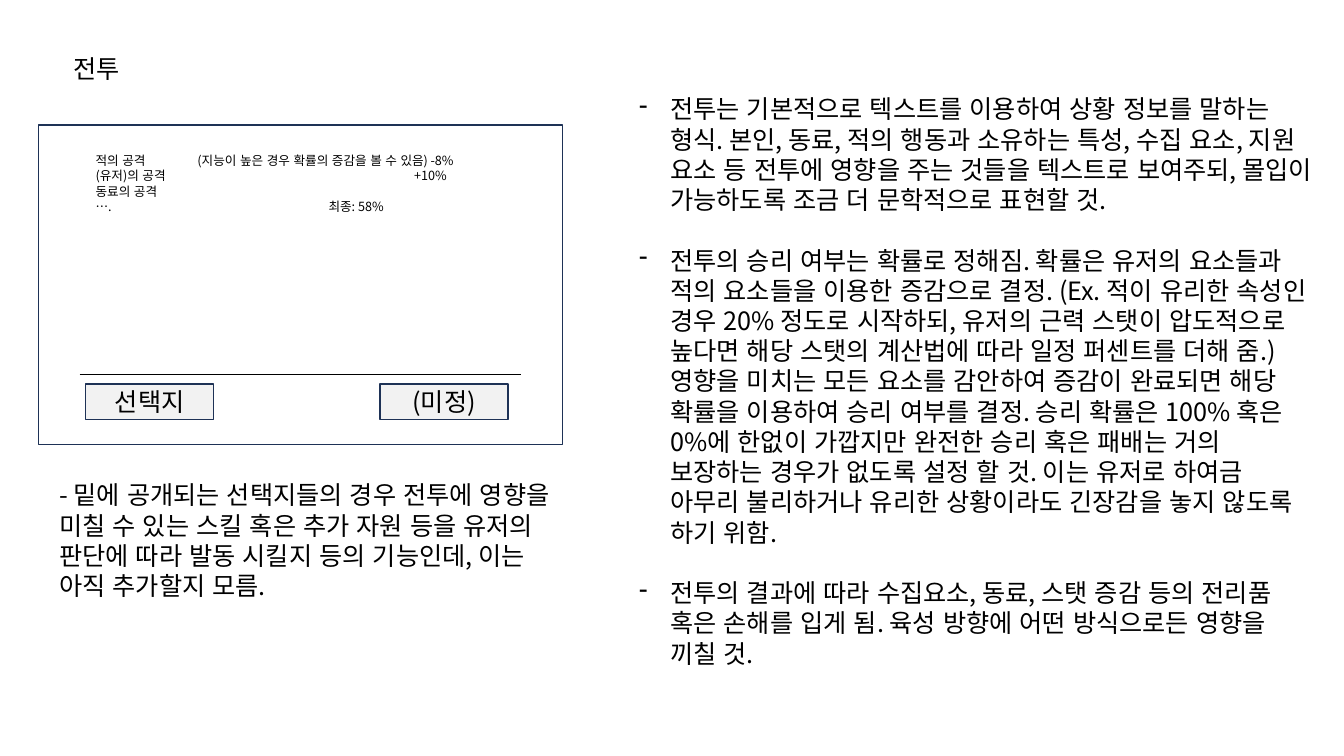
from dataclasses import dataclass

import pptx
import pptx.dml.color
import pptx.enum.lang
import pptx.enum.shapes
import pptx.enum.text
import pptx.oxml.ns
import pptx.util
from lxml import etree
from pptx.util import Inches, Pt

FONT = "Noto Sans CJK KR"
NAVY, BLACK, WHITE, GREY = "1E3256", "000000", "FFFFFF", "F2F2F2"
ALIGN = pptx.enum.text.PP_ALIGN
ANCHOR = pptx.enum.text.MSO_ANCHOR


@dataclass
class Box:
    left: float
    top: float
    width: float
    height: float
    fill: str
    text: str = ""


def color(value: str):
    return pptx.dml.color.RGBColor.from_string(value)


def add_child(parent, tag: str, **attrs):
    child = etree.SubElement(parent, pptx.oxml.ns.qn(tag))
    for name, value in attrs.items():
        child.set(name, str(value))
    return child


def write(p, text: str, size: float = 18, align=ALIGN.LEFT, before: float = 0,
          bullet: str = "", indent: float = 0, tabs: tuple = ()):
    """Fill a paragraph with one formatted run."""
    p.alignment = align
    p.line_spacing = 1.0
    p.space_before = Pt(before)
    props = p._p.get_or_add_pPr()
    if bullet:
        props.set("marL", str(Inches(indent)))
        props.set("indent", str(-Inches(indent)))
        add_child(props, "a:buFontTx")
        add_child(props, "a:buChar", char=bullet)
    if tabs:
        tab_list = add_child(props, "a:tabLst")
        for pos in tabs:
            add_child(tab_list, "a:tab", pos=Inches(pos), algn="l")
    r = p.add_run()
    r.text = text
    r.font.size = Pt(size)
    r.font.name = FONT
    r.font.color.rgb = color(BLACK)
    r.font.language_id = pptx.enum.lang.MSO_LANGUAGE_ID.KOREAN
    add_child(r._r.get_or_add_rPr(), "a:ea", typeface=FONT)


def add_text(s, left: float, top: float, width: float, height: float):
    tf = s.shapes.add_textbox(Inches(left), Inches(top), Inches(width), Inches(height)).text_frame
    tf.word_wrap = True
    return tf


def add_box(s, box: Box):
    sp = s.shapes.add_shape(pptx.enum.shapes.MSO_SHAPE.RECTANGLE, Inches(box.left),
                            Inches(box.top), Inches(box.width), Inches(box.height))
    sp.shadow.inherit = False
    sp.fill.solid()
    sp.fill.fore_color.rgb = color(box.fill)
    sp.line.color.rgb = color(NAVY)
    sp.line.width = Pt(1)
    if box.text:
        sp.text_frame.vertical_anchor = ANCHOR.MIDDLE
        write(sp.text_frame.paragraphs[0], box.text, align=ALIGN.CENTER)


def add_rule(s, x1: float, x2: float, y: float):
    line = s.shapes.add_connector(pptx.enum.shapes.MSO_CONNECTOR.STRAIGHT,
                                  Inches(x1), Inches(y), Inches(x2), Inches(y))
    line.line.color.rgb = color(BLACK)
    line.line.width = Pt(0.5)
    add_child(line._element.spPr, "a:effectLst")


RULES = [
    "전투는 기본적으로 텍스트를 이용하여 상황 정보를 말하는 형식. 본인, 동료, 적의 행동과 "
    "소유하는 특성, 수집 요소, 지원 요소 등 전투에 영향을 주는 것들을 텍스트로 보여주되, "
    "몰입이 가능하도록 조금 더 문학적으로 표현할 것.",
    "전투의 승리 여부는 확률로 정해짐. 확률은 유저의 요소들과 적의 요소들을 이용한 증감으로 결정. "
    "(Ex. 적이 유리한 속성인 경우 20% 정도로 시작하되, 유저의 근력 스탯이 압도적으로 높다면 "
    "해당 스탯의 계산법에 따라 일정 퍼센트를 더해 줌.) 영향을 미치는 모든 요소를 감안하여 증감이 "
    "완료되면 해당 확률을 이용하여 승리 여부를 결정. 승리 확률은 100% 혹은 0%에 한없이 가깝지만 "
    "완전한 승리 혹은 패배는 거의 보장하는 경우가 없도록 설정 할 것. 이는 유저로 하여금 아무리 "
    "불리하거나 유리한 상황이라도 긴장감을 놓지 않도록 하기 위함.",
    "전투의 결과에 따라 수집요소, 동료, 스탯 증감 등의 전리품 혹은 손해를 입게 됨. "
    "육성 방향에 어떤 방식으로든 영향을 끼칠 것.",
]
# Each log line with its tab stops
BATTLE_LOG = [
    ("적의 공격\t(지능이 높은 경우 확률의 증감을 볼 수 있음) -8%", (1.01,)),
    ("(유저)의 공격\t+10%", (3.16,)),
    ("동료의 공격", ()),
    ("….\t최종: 58%", (2.31,)),
]
CHOICE_NOTE = ("- 밑에 공개되는 선택지들의 경우 전투에 영향을 미칠 수 있는 스킬 혹은 추가 자원 등을 "
               "유저의 판단에 따라 발동 시킬지 등의 기능인데, 이는 아직 추가할지 모름.")
SCREEN = Box(0.38, 1.24, 5.2, 3.17, WHITE)
BUTTONS = [Box(left, 3.81, 1.27, 0.35, GREY, text)
           for left, text in ((0.85, "선택지"), (3.77, "(미정)"))]


def main():
    prs = pptx.Presentation()
    prs.slide_width, prs.slide_height = Inches(13.33), Inches(7.5)
    s = prs.slides.add_slide(prs.slide_layouts[5])

    # Title
    title = s.shapes.title
    title.left, title.top, title.width, title.height = map(Inches, (0.63, 0.48, 0.71, 0.4))
    tf = title.text_frame
    tf.word_wrap = False
    tf.auto_size = pptx.enum.text.MSO_AUTO_SIZE.NONE
    tf.vertical_anchor = ANCHOR.TOP
    write(tf.paragraphs[0], "전투")

    # Battle rules, set one line apart
    tf = add_text(s, 6.24, 0.88, 6.92, 6.16)
    for i, rule in enumerate(RULES):
        p = tf.add_paragraph() if i else tf.paragraphs[0]
        write(p, rule, before=21.6 if i else 0, bullet="-", indent=0.31)

    # Battle screen mock-up
    add_box(s, SCREEN)
    add_rule(s, 0.79, 5.17, 3.71)
    for button in BUTTONS:
        add_box(s, button)
    tf = add_text(s, 0.85, 1.47, 4.19, 0.71)
    for i, (text, tabs) in enumerate(BATTLE_LOG):
        p = tf.add_paragraph() if i else tf.paragraphs[0]
        write(p, text, size=9, tabs=tabs)

    # Note on the choices
    tf = add_text(s, 0.49, 4.71, 5.1, 1.31)
    write(tf.paragraphs[0], CHOICE_NOTE)

    prs.save("out.pptx")


if __name__ == "__main__":
    main()
